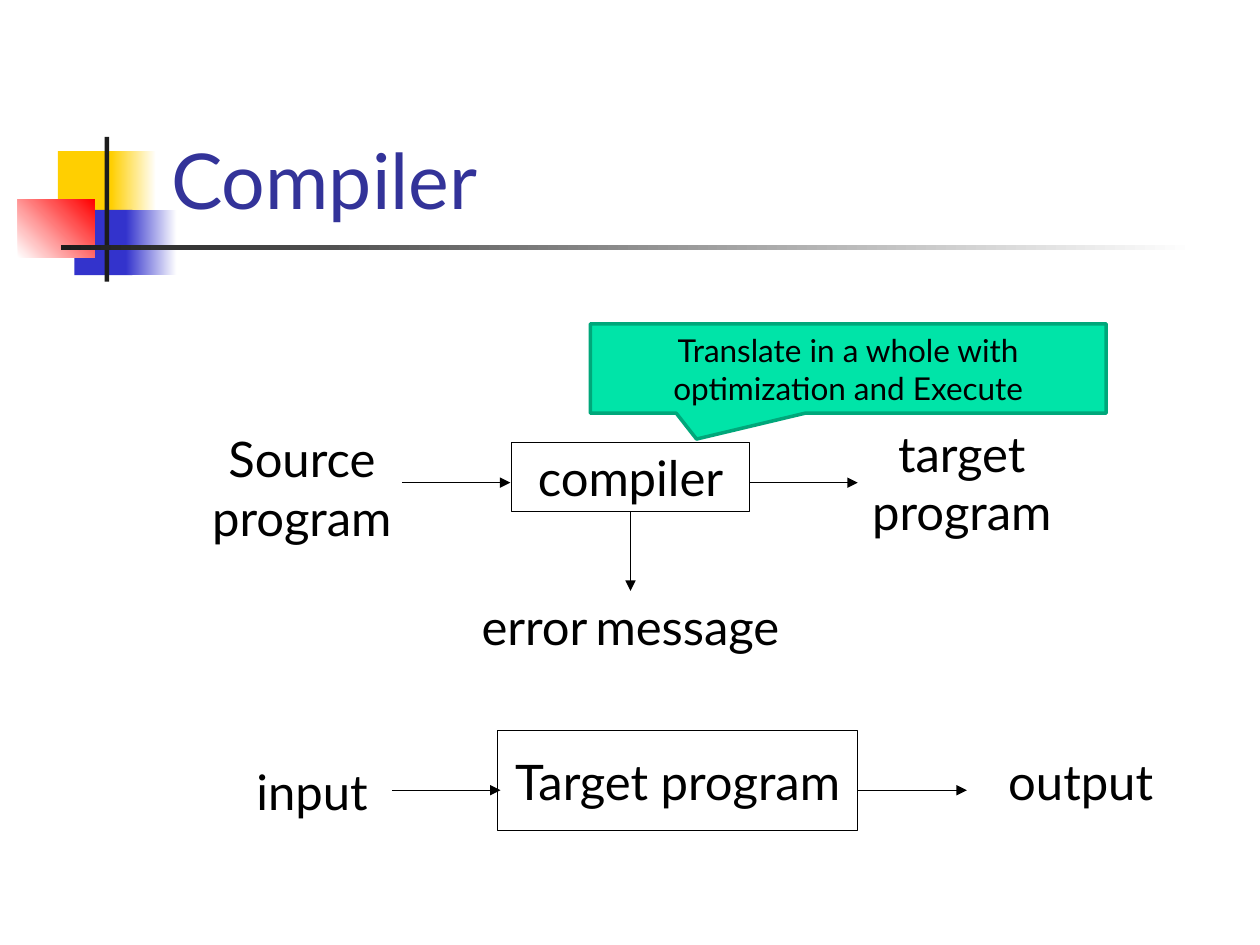
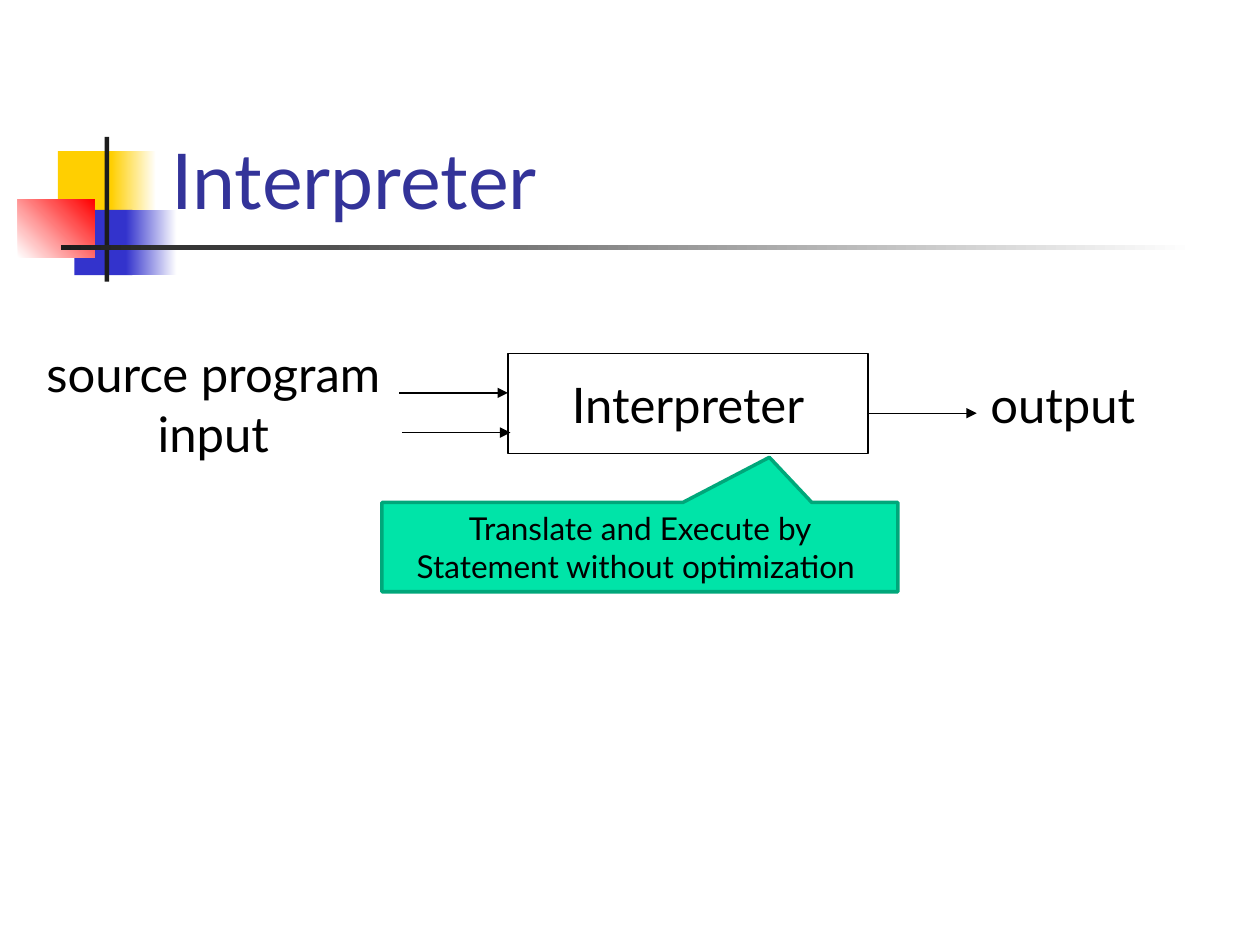
"""Build two slides comparing how a compiler and an interpreter run a program."""
from lxml import etree
from pptx import Presentation
from pptx import util as u
from pptx.dml.color import RGBColor
from pptx.enum import shapes, text
from pptx.oxml.ns import qn

FONT = "Lato"
BLACK, WHITE, DARK = "000000", "FFFFFF", "1C1C1C"
YELLOW, BLUE, RED = "FFCF01", "3333CC", "FF0000"
TITLE_BLUE, GREEN, DARK_GREEN = "333399", "00E4A8", "00A77A"
ARROW = 2.19
RECT = shapes.MSO_SHAPE.RECTANGLE
CALLOUT = shapes.MSO_SHAPE.RECTANGULAR_CALLOUT


def paint(fill, *colours, angle=0):
    if len(colours) == 1:
        fill.solid()
        fill.fore_color.rgb = RGBColor.from_string(colours[0])
        return
    fill.gradient()
    fill.gradient_angle = angle
    for stop, colour in zip(fill.gradient_stops, colours):
        stop.color.rgb = RGBColor.from_string(colour)


def write(sp, words, size, colour=BLACK, align=text.PP_ALIGN.CENTER,
          anchor=text.MSO_ANCHOR.MIDDLE, wrap=False):
    tf = sp.text_frame
    tf.text = words
    tf.word_wrap = wrap
    tf.vertical_anchor = anchor
    for p in tf.paragraphs:
        p.alignment = align
        p.font.name, p.font.size = FONT, u.Pt(size)
        paint(p.font.fill, colour)


motif = [
    ((1.17, 3.05, 1.22, 1.32), (YELLOW,), 0),
    ((2.24, 3.05, 0.91, 1.32), (YELLOW, WHITE), 0),
    ((1.5, 4.23, 1.17, 1.32), (BLUE,), 0),
    ((2.54, 4.23, 1.02, 1.32), (BLUE, WHITE), 0),
    ((0.36, 4.02, 1.55, 1.17), (WHITE, RED), 45),
    ((2.11, 2.76, 0.09, 2.92), (DARK,), 0),
    ((1.23, 4.94, 22.86, 0.1), (DARK, WHITE), 0),
]

slides = [
    {
        "title": "Compiler",
        "boxes": [("compiler", (10.31, 8.92, 4.8, 1.4)),
                  ("Target program", (10.03, 14.73, 7.26, 2.01))],
        "labels": [("target\nprogram", (17.09, 8.71, 4.6, 2.01)),
                   ("Source\nprogram", (3.89, 8.53, 4.39, 2.59)),
                   ("input", (2.29, 14.94, 8, 2.01)),
                   ("output", (19.51, 14.73, 4.55, 2.01))],
        "arrows": [(8.1, 9.73), (15.1, 9.73), (7.9, 15.93), (17.3, 15.93)],
        "callout": ("Translate in a whole with optimization and Execute",
                    (11.9, 6.53, 10.4, 1.8), (-0.294, 0.79)),
    },
    {
        "title": "Interpreter",
        "boxes": [("Interpreter", (10.24, 7.13, 7.26, 2.01))],
        "labels": [("output", (19.15, 7.13, 4.55, 2.01)),
                   ("source program", (0.3, 6.52, 8, 2.01)),
                   ("input", (0.3, 7.72, 8, 2.01))],
        "arrows": [(8.05, 7.92), (17.5, 8.33), (8.1, 8.72)],
        "callout": ("Translate and Execute by Statement without optimization ",
                    (7.7, 10.13, 10.4, 1.8), (0.251, -1.006)),
    },
]

prs = Presentation()
prs.slide_width, prs.slide_height = u.Cm(25.4), u.Cm(19.05)
layout = prs.slide_layouts[5]
title = layout.placeholders[0]
title.left, title.top, title.width, title.height = map(u.Cm, (3.2, 0.6, 21.64, 4.06))

for data in slides:
    s = prs.slides.add_slide(layout)
    if data is slides[0]:
        for place, colours, angle in motif:
            sp = s.shapes.add_shape(RECT, *map(u.Cm, place))
            sp.shadow.inherit = False
            paint(sp.fill, *colours, angle=angle)
            sp.line.fill.background()
            layout.shapes.element.append(sp.element)

    write(s.shapes.title, data["title"], 44, TITLE_BLUE,
          text.PP_ALIGN.LEFT, text.MSO_ANCHOR.BOTTOM, True)

    boxes = []
    for words, place in data["boxes"]:
        sp = s.shapes.add_shape(RECT, *map(u.Cm, place))
        sp.shadow.inherit = False
        sp.fill.background()
        paint(sp.line.fill, BLACK)
        sp.line.width = u.Pt(0.75)
        write(sp, words, 28)
        boxes.append(sp)

    for words, place in data["labels"]:
        write(s.shapes.add_textbox(*map(u.Cm, place)), words, 28)

    arrows = [(x, y, x + ARROW, y) for x, y in data["arrows"]]
    if data["title"] == "Compiler":
        arrows.append((12.71, 10.32, 12.71, 11.91))
        sp = s.shapes.add_textbox(*map(u.Cm, (8.71, 12.12, 8, 0.99)))
        write(sp, "error", 28)
        p = sp.text_frame.paragraphs[0]
        r = p.add_run()
        r.text, r.font.size = " ", u.Pt(18)
        p.add_run().text = "message"

    for x1, y1, x2, y2 in arrows:
        c = s.shapes.add_connector(shapes.MSO_CONNECTOR.STRAIGHT,
                                   *map(u.Cm, (x1, y1, x2, y2)))
        if x1 == x2:
            c.begin_connect(boxes[0], 2)
        paint(c.line.fill, BLACK)
        c.line.width = u.Pt(0.75)
        ln = c.element.spPr.find(qn("a:ln"))
        etree.SubElement(ln, qn("a:tailEnd"), type="triangle")
        etree.SubElement(c.element.spPr, qn("a:effectLst"))

    words, place, tip = data["callout"]
    sp = s.shapes.add_shape(CALLOUT, *map(u.Cm, place))
    sp.shadow.inherit = False
    sp.adjustments[0], sp.adjustments[1] = tip
    paint(sp.fill, GREEN)
    paint(sp.line.fill, DARK_GREEN)
    sp.line.width = u.Pt(2)
    write(sp, words, 18, wrap=True)

prs.save("out.pptx")
